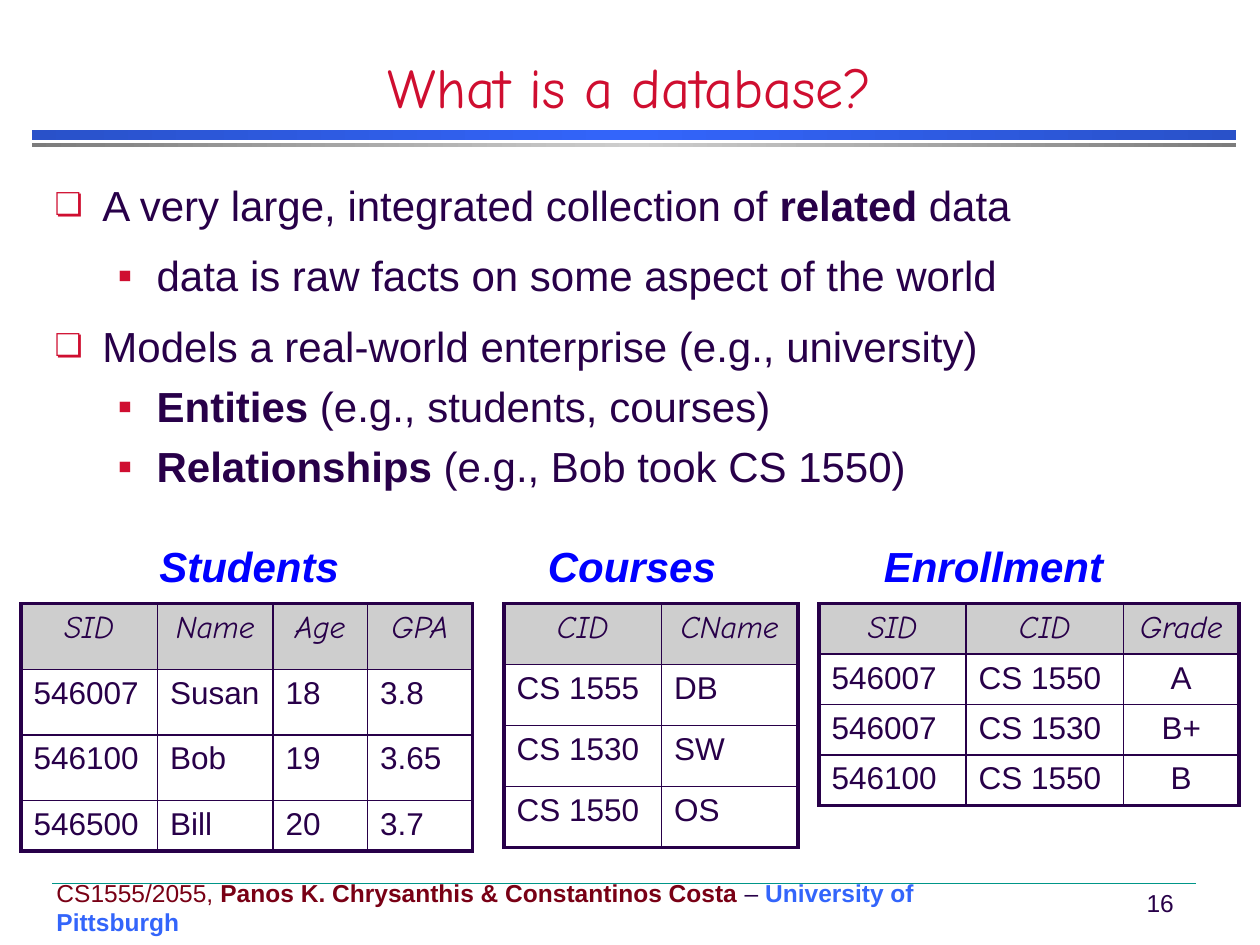
from copy import deepcopy
from lxml.etree import SubElement as Sub
from pptx import Presentation
from pptx.dml.color import RGBColor
from pptx.enum.shapes import MSO_CONNECTOR as Conn, MSO_SHAPE as Kind
from pptx.enum.text import MSO_ANCHOR as Anchor, MSO_AUTO_SIZE as Auto, PP_ALIGN as Align
from pptx.oxml.ns import qn
from pptx.util import Inches, Pt

INK, RED, BLUE = "280049", "CF0E30", "3365FB"
rgb = RGBColor.from_string


def grid(*units):
    """Turn grid units, twelve to the inch, into lengths."""
    return [Inches(u / 12) for u in units]


def style(font, size, color=INK, name="Arial", bold=None, italic=None):
    font.size, font.name = Pt(size), name
    font.color.rgb = rgb(color)
    font.bold, font.italic = bold, italic


deck = Presentation()
deck.slide_width, deck.slide_height = grid(120, 90)
slide = deck.slides.add_slide(deck.slide_layouts[1])
shapes = slide.shapes
title, body = slide.placeholders

# Double rule under the title
for top, high, dark, light in [(12.4, 0.95, "2951C9", BLUE), (13.65, 0.4, "7C7C7C", "CECECE")]:
    bar = shapes.add_shape(Kind.RECTANGLE, *grid(3, top, 114.75, high))
    bar.shadow.inherit = False
    bar.line.fill.background()
    bar.fill.gradient()
    bar.fill.gradient_angle = 0
    edge, mid = bar.fill.gradient_stops
    edge.color.rgb, mid.color.rgb = rgb(dark), rgb(light)
    mid.position = 0.5
    stops = bar._element.spPr.find(qn("a:gradFill")).find(qn("a:gsLst"))
    last = deepcopy(stops[0])
    last.set("pos", "100000")
    stops.append(last)

# Footer
rule = shapes.add_connector(Conn.STRAIGHT, *grid(5, 84.1, 113.9, 84.1))
rule.line.color.rgb = rgb("009688")
rule.line.width = Pt(0.25)
Sub(rule._element.spPr, qn("a:effectLst"))

credit = shapes.add_textbox(*grid(4.2, 82.8, 91, 7.2)).text_frame
credit.word_wrap = True
credit.vertical_anchor = Anchor.MIDDLE
for text, color, bold in [
    ("CS1555/2055, ", "790015", False),
    ("Panos K. Chrysanthis & Constantinos Costa ", "790015", True),
    ("– ", INK, False),
    ("University of Pittsburgh", BLUE, True),
]:
    run = credit.paragraphs[0].add_run()
    run.text = text
    style(run.font, 14, color, bold=bold)

number = shapes.add_textbox(*grid(107.5, 84, 6, 4)).text_frame
number.vertical_anchor = Anchor.MIDDLE
para = number.paragraphs[0]
para.text, para.alignment = "16", Align.CENTER
style(para.font, 14)

# Title
title.left, title.top, title.width, title.height = grid(7.5, 5, 105, 7)
frame = title.text_frame
frame.text = "What is a database?"
frame.vertical_anchor, frame.auto_size = Anchor.BOTTOM, Auto.NONE
frame.paragraphs[0].alignment = Align.CENTER
style(frame.paragraphs[0].font, 32, RED, "Comic Neue")

# Bullet list: level, line spacing, runs with every second one bold
body.left, body.top, body.width, body.height = grid(4, 16.5, 112, 31.5)
frame = body.text_frame
frame.auto_size = Auto.NONE
points = [
    (0, 1, ["A very large, integrated collection of ", "related", " data"]),
    (1, 1.2, ["data is raw facts on some aspect of the world"]),
    (0, 1.2, ["Models a real-world enterprise (e.g., university)"]),
    (1, 1, ["", "Entities", " (e.g., students, courses)"]),
    (1, 1, ["", "Relationships", " (e.g., Bob took CS 1550)"]),
]
marks = [(0.38, 0.38, "75000", "❏"), (0.81, 0.31, "100000", "▪")]
for i, (level, gap, parts) in enumerate(points):
    para = frame.add_paragraph() if i else frame.paragraphs[0]
    para.level, para.line_spacing, para.space_before = level, gap, Pt(5.6)
    style(para.font, 24)
    for j, text in enumerate(parts):
        if text:
            run = para.add_run()
            run.text, run.font.bold = text, j % 2 == 1
    left, hang, size, mark = marks[level]
    props = para._p.get_or_add_pPr()
    props.set("marL", str(Inches(left)))
    props.set("indent", str(-Inches(hang)))
    tint = Sub(props, qn("a:buClr"))
    Sub(tint, qn("a:srgbClr"), val=RED)
    Sub(props, qn("a:buSzPct"), val=size)
    Sub(props, qn("a:buFont"), typeface="Arial")
    Sub(props, qn("a:buChar"), char=mark)
    props.append(props.find(qn("a:defRPr")))

# Tables: name, its left and width, table left, columns, rows, centred columns, cells
tables = [
    ("Students", 14, 24, 2, [13, 11, 9, 10], [6.25, 6.25, 6.25, 4.8], [],
     ["SID Name Age GPA".split(), ["546007", "Susan", "18", "3.8"],
      ["546100", "Bob", "19", "3.65"], ["546500", "Bill", "20", "3.7"]]),
    ("Courses", 51, 19, 48, [15, 13], [5.8] * 4, [],
     [["CID", "CName"], ["CS 1555", "DB"], ["CS 1530", "SW"], ["CS 1550", "OS"]]),
    ("Enrollment", 83, 24, 78, [14, 15, 11], [4.8] * 4, [2],
     [["SID", "CID", "Grade"], ["546007", "CS 1550", "A"],
      ["546007", "CS 1530", "B+"], ["546100", "CS 1550", "B"]]),
]
for name, start, wide, left, cols, rows, mids, data in tables:
    label = shapes.add_textbox(*grid(start, 51.4, wide, 5.6)).text_frame
    label.word_wrap = True
    para = label.paragraphs[0]
    para.text, para.line_spacing = name, 0.9
    style(para.font, 24, "0000FF", bold=True, italic=True)

    area = grid(left, 57.5, sum(cols), sum(rows))
    table = shapes.add_table(len(rows), len(cols), *area).table
    for col, size in zip(table.columns, grid(*cols)):
        col.width = size
    for row, size in zip(table.rows, grid(*rows)):
        row.height = size
    for r, line in enumerate(data):
        for c, text in enumerate(line):
            cell = table.cell(r, c)
            props = cell._tc.get_or_add_tcPr()
            outer = {"L": c == 0, "R": c == len(cols) - 1, "T": r == 0, "B": r == len(rows) - 1}
            for side, thick in outer.items():
                edge = Sub(props, qn("a:ln" + side), w=str(Pt(2.25 if thick else 1)))
                Sub(Sub(edge, qn("a:solidFill")), qn("a:srgbClr"), val=INK)
            head = r == 0
            if head:
                cell.fill.solid()
                cell.fill.fore_color.rgb = rgb("CECECE")
            else:
                cell.fill.background()
            para = cell.text_frame.paragraphs[0]
            para.text = text
            para.alignment = Align.CENTER if head or c in mids else Align.LEFT
            style(para.font, 18, name="Comic Neue" if head else "Arial", bold=False, italic=head)

deck.save("out.pptx")
